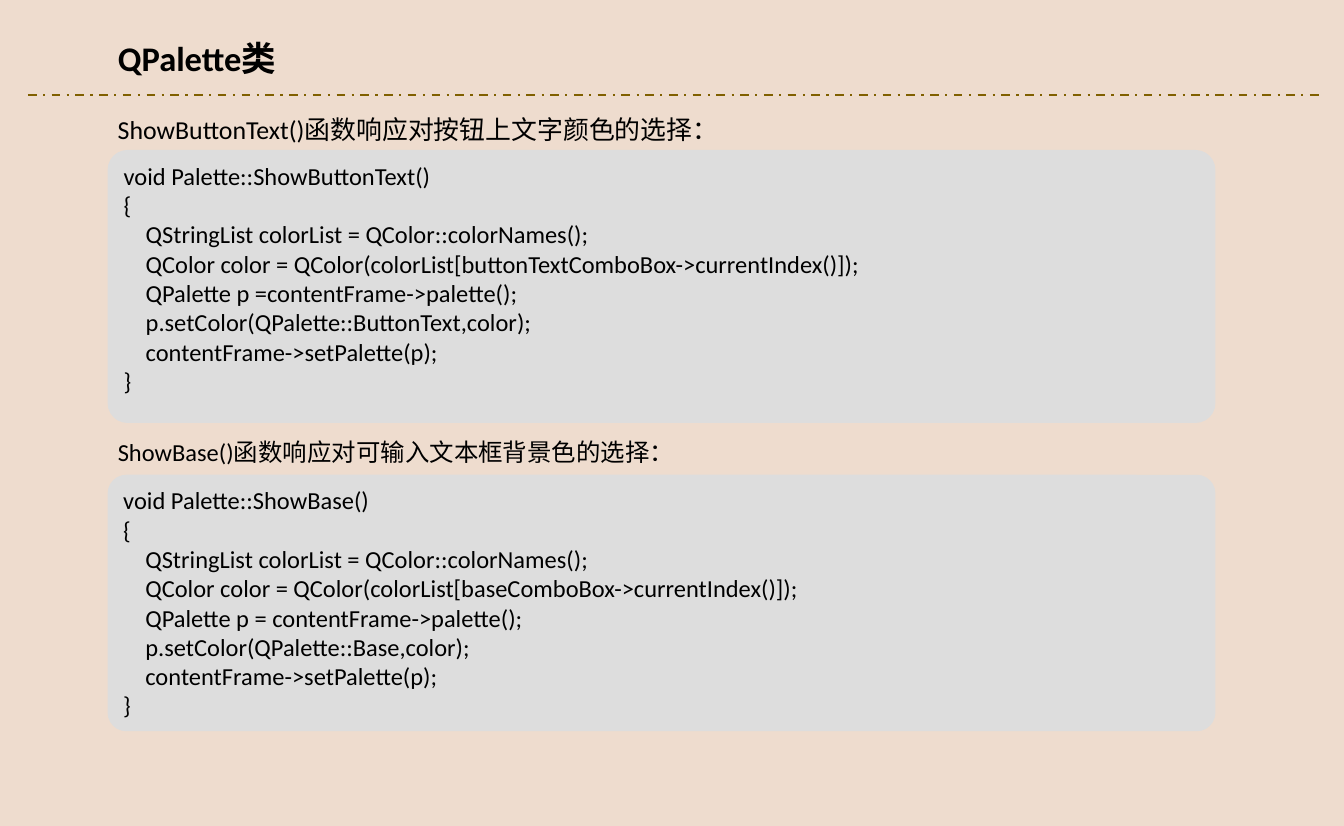
from dataclasses import dataclass

import pptx
import pptx.dml.color
import pptx.enum.dml
import pptx.enum.shapes
import pptx.enum.text
import pptx.oxml
import pptx.oxml.ns
import pptx.util

Inches = pptx.util.Inches
RGBColor = pptx.dml.color.RGBColor
AutoSize = pptx.enum.text.MSO_AUTO_SIZE


@dataclass(frozen=True)
class Theme:
    font: str = "Calibri"
    background: RGBColor = RGBColor(0xEE, 0xDC, 0xCE)
    rule: RGBColor = RGBColor(0x80, 0x60, 0x00)
    panel: RGBColor = RGBColor(0xDD, 0xDD, 0xDD)
    text: RGBColor = RGBColor(0, 0, 0)
    title_size: int = 24
    lead_size: int = 18
    code_size: int = 17


@dataclass(frozen=True)
class CodeSection:
    caption: str
    caption_top: float
    caption_width: float
    caption_height: float
    caption_size: int
    code: str
    code_top: float
    code_height: float


THEME = Theme()
LEFT = 1.04
CODE_WIDTH = 10.71
CORNER = 0.073

SECTIONS = [
    CodeSection(
        "ShowButtonText()函数响应对按钮上文字颜色的选择：",
        1.05, 6.07, 0.4, THEME.lead_size,
        """void Palette::ShowButtonText()
{
    QStringList colorList = QColor::colorNames();
    QColor color = QColor(colorList[buttonTextComboBox->currentIndex()]);
    QPalette p =contentFrame->palette();
    p.setColor(QPalette::ButtonText,color);
    contentFrame->setPalette(p);
}""",
        1.45, 2.64,
    ),
    CodeSection(
        "ShowBase()函数响应对可输入文本框背景色的选择：",
        4.18, 5.62, 0.39, THEME.code_size,
        """void Palette::ShowBase()
{
    QStringList colorList = QColor::colorNames();
    QColor color = QColor(colorList[baseComboBox->currentIndex()]);
    QPalette p = contentFrame->palette();
    p.setColor(QPalette::Base,color);
    contentFrame->setPalette(p);
}""",
        4.59, 2.48,
    ),
]


def write_text(shape, text: str, size: int, bold: bool = False,
               wrap: bool = True) -> None:
    frame = shape.text_frame
    frame.text = text
    frame.word_wrap = wrap
    frame.auto_size = AutoSize.NONE if wrap else AutoSize.SHAPE_TO_FIT_TEXT
    frame.vertical_anchor = pptx.enum.text.MSO_ANCHOR.TOP
    for paragraph in frame.paragraphs:
        paragraph.alignment = pptx.enum.text.PP_ALIGN.LEFT
        for run in paragraph.runs:
            run.font.name = THEME.font
            run.font.size = pptx.util.Pt(size)
            run.font.bold = bold
            run.font.color.rgb = THEME.text


def add_rule(slide) -> None:
    rule = slide.shapes.add_connector(
        pptx.enum.shapes.MSO_CONNECTOR.STRAIGHT,
        Inches(0.27), Inches(0.92), Inches(12.79), Inches(0.92))
    rule.line.color.rgb = THEME.rule
    rule.line.width = pptx.util.Pt(1.5)
    rule.line.dash_style = pptx.enum.dml.MSO_LINE.DASH_DOT
    properties = rule._element.spPr
    properties.append(pptx.oxml.parse_xml(
        f"<a:effectLst {pptx.oxml.ns.nsdecls('a')}/>"))


def add_title(slide, text: str) -> None:
    title = slide.shapes.title
    title.left, title.top = Inches(LEFT), Inches(0.31)
    title.width, title.height = Inches(4.64), Inches(0.5)
    write_text(title, text, THEME.title_size, bold=True)


def add_section(slide, section: CodeSection) -> None:
    """Add a caption and the rounded code panel below it."""
    caption = slide.shapes.add_textbox(
        Inches(LEFT), Inches(section.caption_top),
        Inches(section.caption_width), Inches(section.caption_height))
    write_text(caption, section.caption, section.caption_size, wrap=False)

    panel = slide.shapes.add_shape(
        pptx.enum.shapes.MSO_SHAPE.ROUNDED_RECTANGLE,
        Inches(LEFT), Inches(section.code_top),
        Inches(CODE_WIDTH), Inches(section.code_height))
    panel.adjustments[0] = CORNER
    panel.shadow.inherit = False
    panel.fill.solid()
    panel.fill.fore_color.rgb = THEME.panel
    panel.line.fill.background()
    write_text(panel, section.code, THEME.code_size)


def main() -> None:
    presentation = pptx.Presentation()
    presentation.slide_width = pptx.util.Pt(935.5)
    presentation.slide_height = pptx.util.Pt(575)
    title_only = presentation.slide_layouts.get_by_name("Title Only")
    slide = presentation.slides.add_slide(title_only)
    slide.background.fill.solid()
    slide.background.fill.fore_color.rgb = THEME.background
    add_rule(slide)
    add_title(slide, "QPalette类")
    for section in SECTIONS:
        add_section(slide, section)
    presentation.save("out.pptx")


if __name__ == "__main__":
    main()
